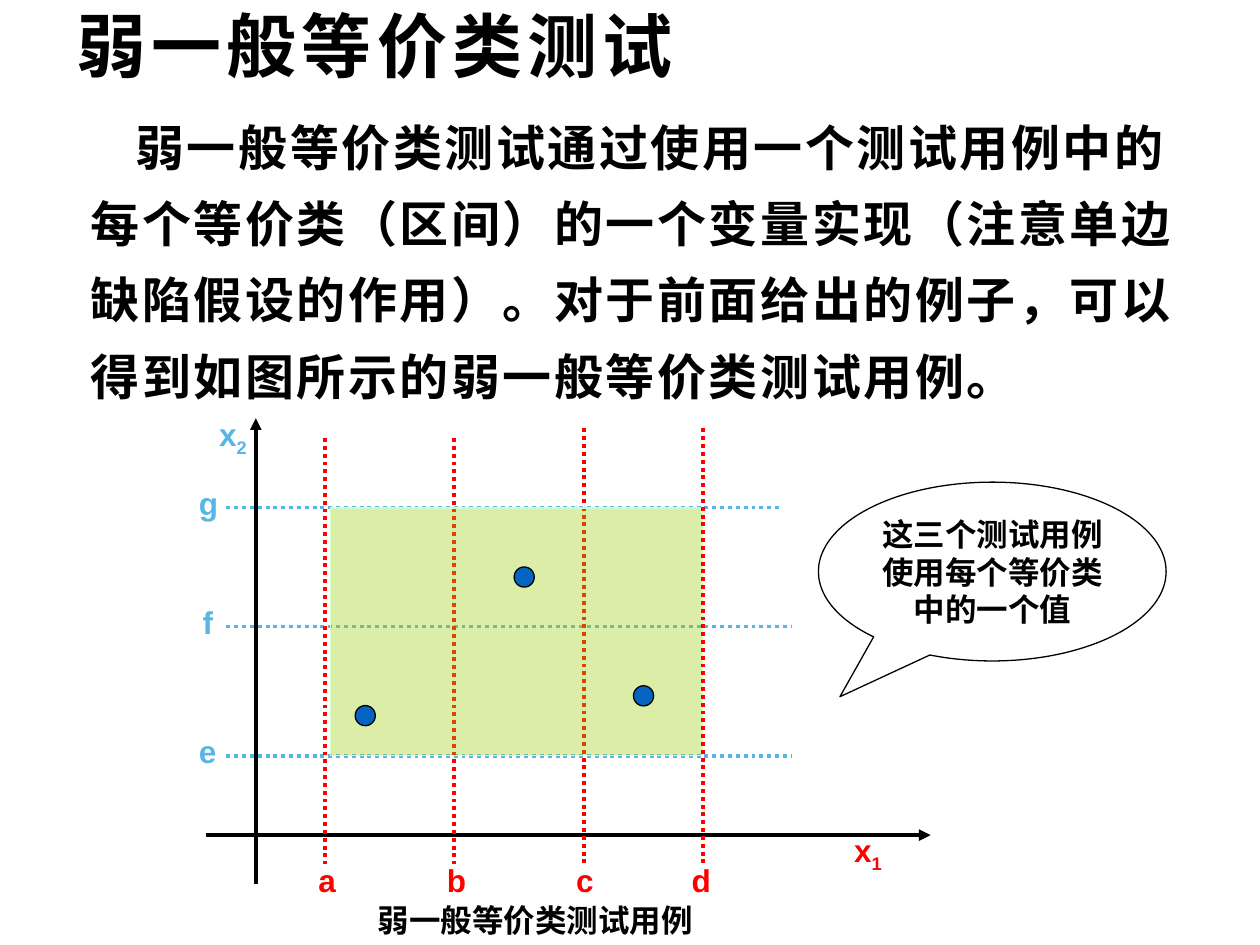
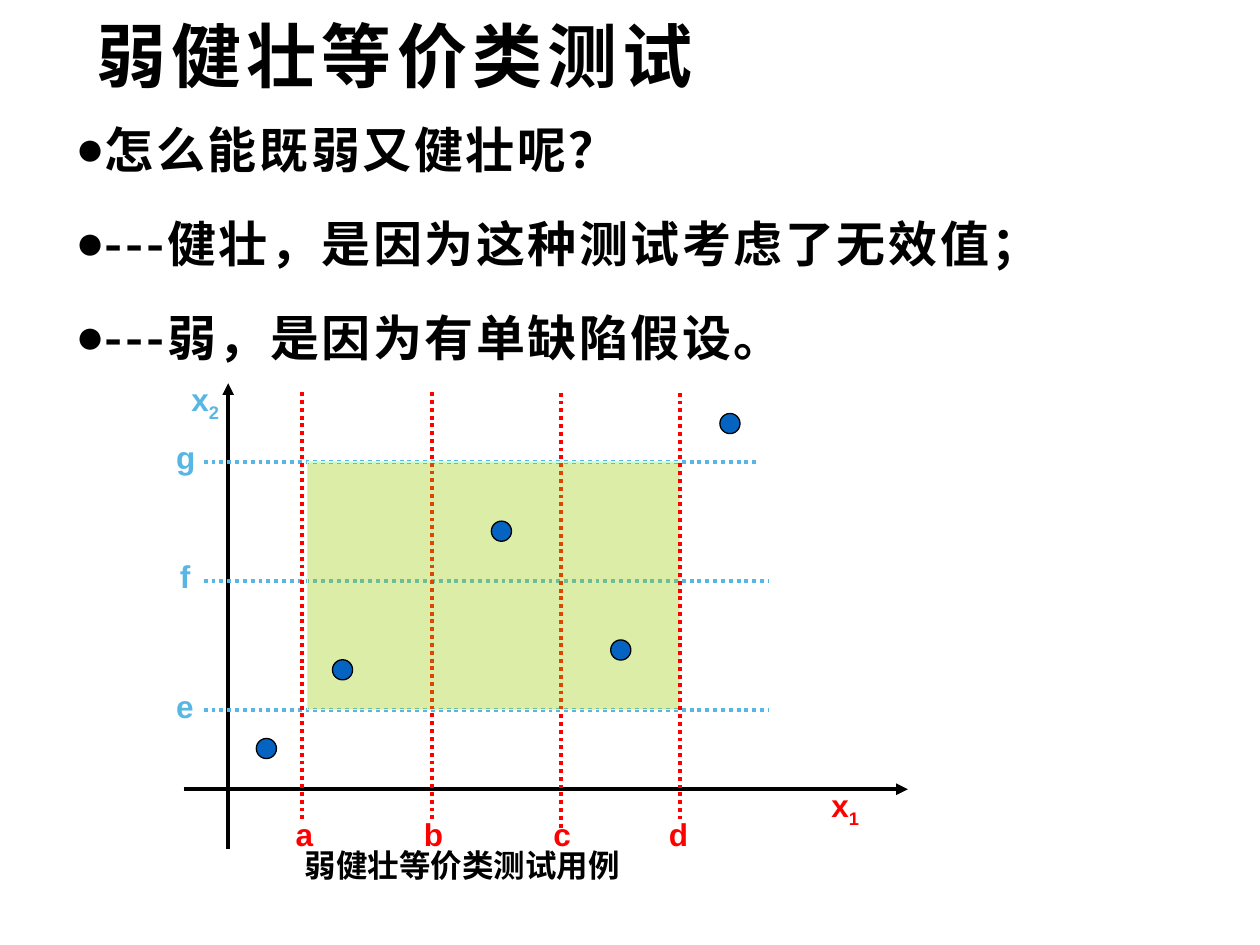
"""Build two slides on weak equivalence class testing."""
from lxml.etree import SubElement
from pptx import Presentation
from pptx.dml.color import RGBColor
from pptx.enum.dml import MSO_LINE
from pptx.enum.shapes import MSO_CONNECTOR, MSO_SHAPE as SHAPE
from pptx.enum.text import MSO_ANCHOR as ANCHOR, PP_ALIGN as ALIGN
from pptx.oxml.ns import qn
from pptx.util import Pt

BLACK = RGBColor(0, 0, 0)
RED = RGBColor(0xFF, 0, 0)
SKY = RGBColor(0x58, 0xB6, 0xE5)
BLUE = RGBColor(0x05, 0x63, 0xC1)
LIME = RGBColor(0x99, 0xCC, 0)
MINT = RGBColor(0xCC, 0xFF, 0xCC)
CJK, LATIN = "Noto Sans CJK SC", "Arial"

COLUMNS = [("a", 185.8, 11), ("b", 259.7, 11.5), ("c", 333.6, 11.5), ("d", 401.6, 13.5)]
ROWS = [("g", 290, 106.6, 447.1), ("f", 358, 108.7, 452.2), ("e", 432, 106.6, 452.2)]
VALID_CASES = [(203, 403.2), (293.8, 324), (362, 391.9)]
INVALID_CASES = [(159.5, 448.2), (424.4, 262.5)]

SLIDES = [
    {
        "title": ("弱一般等价类测试", 36.7, -2.2),
        "body": ["弱一般等价类测试通过使用一个测试用例中的每个等价类（区间）的一个变量实现"
                 "（注意单边缺陷假设的作用）。对于前面给出的例子，可以得到如图所示的弱一般等价类测试用例。"],
        "body_at": (31, 53.3), "bullet": None, "first_indent": 25.6,
        "shift": (0, 0), "y_axis_shift": (0, 0),
        "column_spans": [(250.3, 493.9), (250.3, 493.9), (244.8, 493.9), (244.8, 493.9)],
        "cases": VALID_CASES,
        "caption": ("弱一般等价类测试用例", 208.8, 511.2),
        "callout": "这三个测试用例使用每个等价类中的一个值",
    },
    {
        "title": ("弱健壮等价类测试", 48.2, 3.6),
        "body": ["怎么能既弱又健壮呢？", "---健壮，是因为这种测试考虑了无效值；", "---弱，是因为有单缺陷假设。"],
        "body_at": (36, 54.7), "bullet": "●", "first_indent": -13.7,
        "shift": (-13, -26.2), "y_axis_shift": (-15.8, -20),
        "column_spans": [(250.3, 494.2), (250.3, 494.2), (250.6, 500.7), (250.6, 494.2)],
        "cases": VALID_CASES + INVALID_CASES,
        "caption": ("弱健壮等价类测试用例", 167, 479.8),
        "callout": None,
    },
]


def add_run(p, text, size, color=BLACK, font=LATIN, spacing=0, baseline=0):
    r = p.add_run()
    r.text = text
    r.font.size, r.font.bold, r.font.name = Pt(size), True, font
    r.font.color.rgb = color
    rpr = r.font._element
    SubElement(rpr, qn("a:ea")).set("typeface", CJK)
    if spacing:
        rpr.set("spc", str(int(spacing * 100)))
    if baseline:
        rpr.set("baseline", str(baseline * 1000))


def add_box(s, x, y, w, h):
    tf = s.shapes.add_textbox(Pt(x), Pt(y), Pt(w), Pt(h)).text_frame
    tf.word_wrap = True
    return tf


def add_label(s, text, x, y, color=BLACK, sub="", width=40):
    p = add_box(s, x, y, width, 28.8).paragraphs[0]
    add_run(p, text, 18, color)
    if sub:
        add_run(p, sub, 18, color, baseline=-25)


def add_line(s, x1, y1, x2, y2, color=BLACK, arrow=False):
    c = s.shapes.add_connector(MSO_CONNECTOR.STRAIGHT, Pt(x1), Pt(y1), Pt(x2), Pt(y2))
    c.line.color.rgb, c.line.width = color, Pt(2.25)
    SubElement(c._element.spPr, qn("a:effectLst"))
    if arrow:
        SubElement(c.line._get_or_add_ln(), qn("a:tailEnd")).set("type", "triangle")
    else:
        c.line.dash_style = MSO_LINE.ROUND_DOT


def add_shape(s, kind, x, y, w, h, fill=None, line=BLACK):
    sp = s.shapes.add_shape(kind, Pt(x), Pt(y), Pt(w), Pt(h))
    sp.shadow.inherit = False
    if fill is None:
        sp.fill.background()
    else:
        sp.fill.solid()
        sp.fill.fore_color.rgb = fill
    sp.line.color.rgb, sp.line.width = line, Pt(0.75)
    return sp


def add_title(s, text, x, y):
    tf = add_box(s, x, y, 648, 55.4)
    tf.vertical_anchor = ANCHOR.MIDDLE
    add_run(tf.paragraphs[0], text, 40, font=CJK, spacing=3)


def add_body(s, lines, at, bullet, first_indent):
    tf = add_box(s, *at, 652, 374.4)
    for i, text in enumerate(lines):
        p = tf.add_paragraph() if i else tf.paragraphs[0]
        p.line_spacing, p.space_after = 1.3, Pt(10)
        ppr = p._p.get_or_add_pPr()
        ppr.set("marL", str(Pt(13.7)))
        ppr.set("indent", str(Pt(first_indent)))
        if bullet:
            SubElement(ppr, qn("a:buFont")).set("typeface", LATIN)
            SubElement(ppr, qn("a:buChar")).set("char", bullet)
        add_run(p, text, 28, font=CJK, spacing=1.5)


def add_diagram(s, shift, y_axis_shift, column_spans, cases):
    dx, dy = shift
    ax, ay = y_axis_shift
    add_line(s, 146.2 + ax, 505.4 + ay, 146.2 + ax, 239 + ay, arrow=True)
    add_label(s, "x", 118.1 + ax, 233.5 + ay, SKY, "2")
    add_line(s, 118 + dx, 477.2 + dy, 531.8 + dx, 477.2 + dy, arrow=True)
    add_label(s, "x", 481 + dx, 471.6 + dy, RED, "1")
    for name, y, left, end in ROWS:
        add_line(s, 129.4 + dx, y + dy, end + dx, y + dy, SKY)
        add_label(s, name, left + dx, y - 17 + dy, SKY)
    for (name, x, offset), (top, bottom) in zip(COLUMNS, column_spans):
        if name == "d":
            add_valid_area(s, dx, dy)
        add_line(s, x + dx, top + dy, x + dx, bottom + dy, RED)
        add_label(s, name, x - offset + dx, 488.4 + dy, RED)
    for x, y in cases:
        add_shape(s, SHAPE.OVAL, x + dx, y + dy, 11.5, 11.5, BLUE)


def add_valid_area(s, dx, dy):
    area = add_shape(s, SHAPE.RECTANGLE, 188.8 + dx, 290.2 + dy, 212.4, 141.6, LIME, MINT)
    color = area._element.spPr.find(qn("a:solidFill"))[0]
    SubElement(color, qn("a:alpha")).set("val", "35000")


def add_callout(s, text):
    sp = add_shape(s, SHAPE.OVAL_CALLOUT, 467.7, 275.5, 198.7, 102.2)
    sp.adjustments[0], sp.adjustments[1] = -0.438, 0.7
    tf = sp.text_frame
    tf.word_wrap, tf.vertical_anchor = True, ANCHOR.MIDDLE
    tf.margin_left = tf.margin_right = Pt(6)
    p = tf.paragraphs[0]
    p.alignment = ALIGN.CENTER
    add_run(p, text, 18)


def main():
    prs = Presentation()
    prs.slide_width, prs.slide_height = Pt(720), Pt(540)
    for d in SLIDES:
        s = prs.slides.add_slide(prs.slide_layouts[6])
        add_title(s, *d["title"])
        add_body(s, d["body"], d["body_at"], d["bullet"], d["first_indent"])
        add_diagram(s, d["shift"], d["y_axis_shift"], d["column_spans"], d["cases"])
        add_label(s, *d["caption"], width=224)
        if d["callout"]:
            add_callout(s, d["callout"])
    prs.save("out.pptx")


if __name__ == "__main__":
    main()
